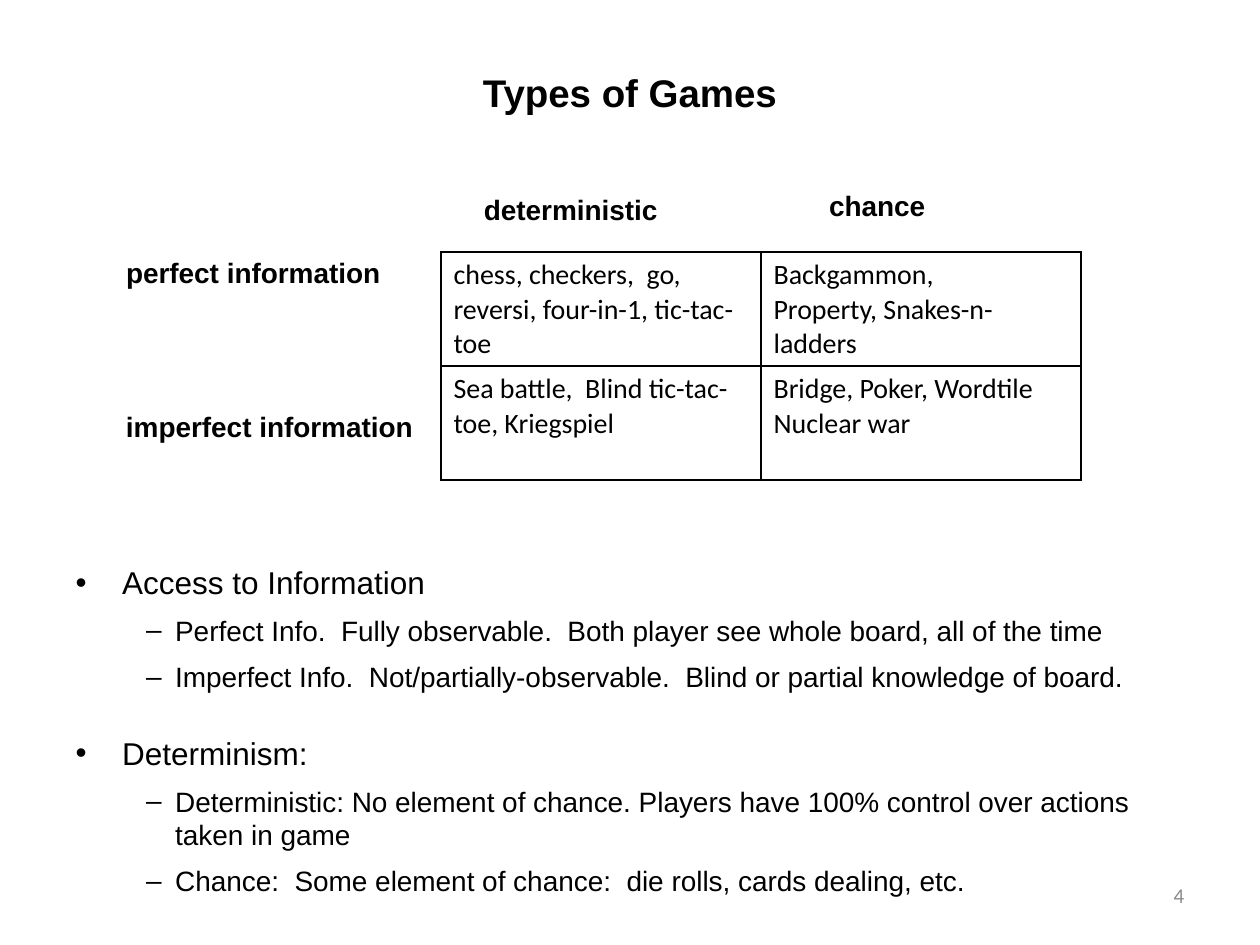
from typing import NamedTuple

import lxml.etree
import pptx
import pptx.dml.color
import pptx.enum.text
import pptx.oxml.ns
import pptx.util

BLACK = pptx.dml.color.RGBColor(0x00, 0x00, 0x00)
GREY = pptx.dml.color.RGBColor(0x8B, 0x8B, 0x8B)
GRID_UNIT = 0.5  # inches: the slide is 20 columns by 15 rows
SLIDE_COLUMNS, SLIDE_ROWS = 20, 15
BORDER_WIDTH = pptx.util.Pt(0.96)


class Area(NamedTuple):
    """Left, top, width and height in grid units."""
    column: float
    row: float
    columns: float
    rows: float


class Label(NamedTuple):
    text: str
    area: Area


class Level(NamedTuple):
    size: float
    margin: float
    hanging: float
    space_before: float


class Item(NamedTuple):
    text: str
    level: int
    space_before: float | None = None


LABELS = [
    Label("deterministic", Area(7.68, 3.06, 2.86, 0.54)),
    Label("chance", Area(13.16, 3, 1.6, 0.54)),
    Label("perfect information", Area(2, 4.06, 4.16, 0.54)),
    Label("imperfect information", Area(2, 6.5, 4.68, 0.54)),
]
GAMES = [
    ["chess, checkers,  go, reversi, four-in-1, tic-tac-toe",
     "Backgammon,\vProperty, Snakes-n-ladders"],
    ["Sea battle,  Blind tic-tac-toe, Kriegspiel",
     "Bridge, Poker, Wordtile\vNuclear war"],
]
LEVELS = [Level(18, 0.37, 0.37, 3.6), Level(16, 0.79, 0.23, 7.2)]
ITEMS = [
    Item("Access to Information", 0),
    Item("Perfect Info.  Fully observable.  Both player see whole board, "
         "all of the time", 1),
    Item("Imperfect Info.  Not/partially-observable.  Blind or partial "
         "knowledge of board.", 1),
    Item("Determinism:", 0, space_before=23),
    Item("Deterministic: No element of chance. Players have 100% control "
         "over actions taken in game", 1),
    Item("Chance:  Some element of chance:  die rolls, cards dealing, etc.", 1),
]


def grid(units: float) -> pptx.util.Length:
    return pptx.util.Inches(units * GRID_UNIT)


def place(shape, area: Area) -> None:
    shape.left, shape.top, shape.width, shape.height = map(grid, area)


def format_runs(frame, size: float, font: str = "Arial", bold: bool = False,
                color: pptx.dml.color.RGBColor = BLACK) -> None:
    for para in frame.paragraphs:
        for span in para.runs:
            span.font.size = pptx.util.Pt(size)
            span.font.name = font
            span.font.bold = bold
            span.font.color.rgb = color


def add_text(page, text: str, area: Area):
    """Add a wrapping text box without margins and return its frame."""
    box = page.shapes.add_textbox(*map(grid, area))
    frame = box.text_frame
    frame.word_wrap = True
    frame.margin_left = frame.margin_right = 0
    frame.margin_top = frame.margin_bottom = 0
    frame.text = text
    return frame


def add_title(page) -> None:
    title = page.shapes.title
    place(title, Area(1, 0.6, 18, 1.74))
    title.text_frame.text = "Types of Games"
    format_runs(title.text_frame, 22, bold=True)


def add_list(page, items: list[Item]) -> None:
    body = page.placeholders[1]
    place(body, Area(1, 8.84, 18, 4.56))
    frame = body.text_frame
    frame.auto_size = pptx.enum.text.MSO_AUTO_SIZE.NONE
    frame.text = "\n".join(item.text for item in items)
    format_runs(frame, LEVELS[1].size)
    for para, item in zip(frame.paragraphs, items):
        level = LEVELS[item.level]
        para.level = item.level
        para.space_before = pptx.util.Pt(item.space_before or level.space_before)
        para.runs[0].font.size = pptx.util.Pt(level.size)
        properties = para._p.get_or_add_pPr()
        properties.set("marL", str(pptx.util.Inches(level.margin)))
        properties.set("indent", str(-pptx.util.Inches(level.hanging)))


def add_borders(cell) -> None:
    properties = cell._tc.get_or_add_tcPr()
    qn = pptx.oxml.ns.qn
    for side in ("a:lnL", "a:lnR", "a:lnT", "a:lnB"):
        line = lxml.etree.SubElement(properties, qn(side), w=str(BORDER_WIDTH))
        fill = lxml.etree.SubElement(line, qn("a:solidFill"))
        lxml.etree.SubElement(fill, qn("a:srgbClr"), val=str(BLACK))


def add_games_table(page, games: list[list[str]]) -> None:
    area = Area(7, 4, 10.16, 3.62)
    table = page.shapes.add_table(len(games), len(games[0]), *map(grid, area)).table
    table.first_row = table.horz_banding = False
    for table_row, texts in zip(table.rows, games):
        for cell, text in zip(table_row.cells, texts):
            cell.text_frame.text = text
            format_runs(cell.text_frame, 16, "Calibri")
            add_borders(cell)
            cell.fill.background()


def add_page_number(page) -> None:
    frame = add_text(page, "4", Area(14.34, 13.9, 4.46, 0.8))
    frame.vertical_anchor = pptx.enum.text.MSO_ANCHOR.MIDDLE
    frame.paragraphs[0].alignment = pptx.enum.text.PP_ALIGN.RIGHT
    frame.paragraphs[0].line_spacing = pptx.util.Pt(7.7)
    format_runs(frame, 12, "Calibri", color=GREY)


def main() -> None:
    deck = pptx.Presentation()
    deck.slide_width, deck.slide_height = grid(SLIDE_COLUMNS), grid(SLIDE_ROWS)
    page = deck.slides.add_slide(deck.slide_layouts[1])
    add_title(page)
    add_list(page, ITEMS)
    add_page_number(page)
    for label in LABELS:
        format_runs(add_text(page, label.text, label.area), 16, bold=True)
    add_games_table(page, GAMES)
    deck.save("out.pptx")


if __name__ == "__main__":
    main()
